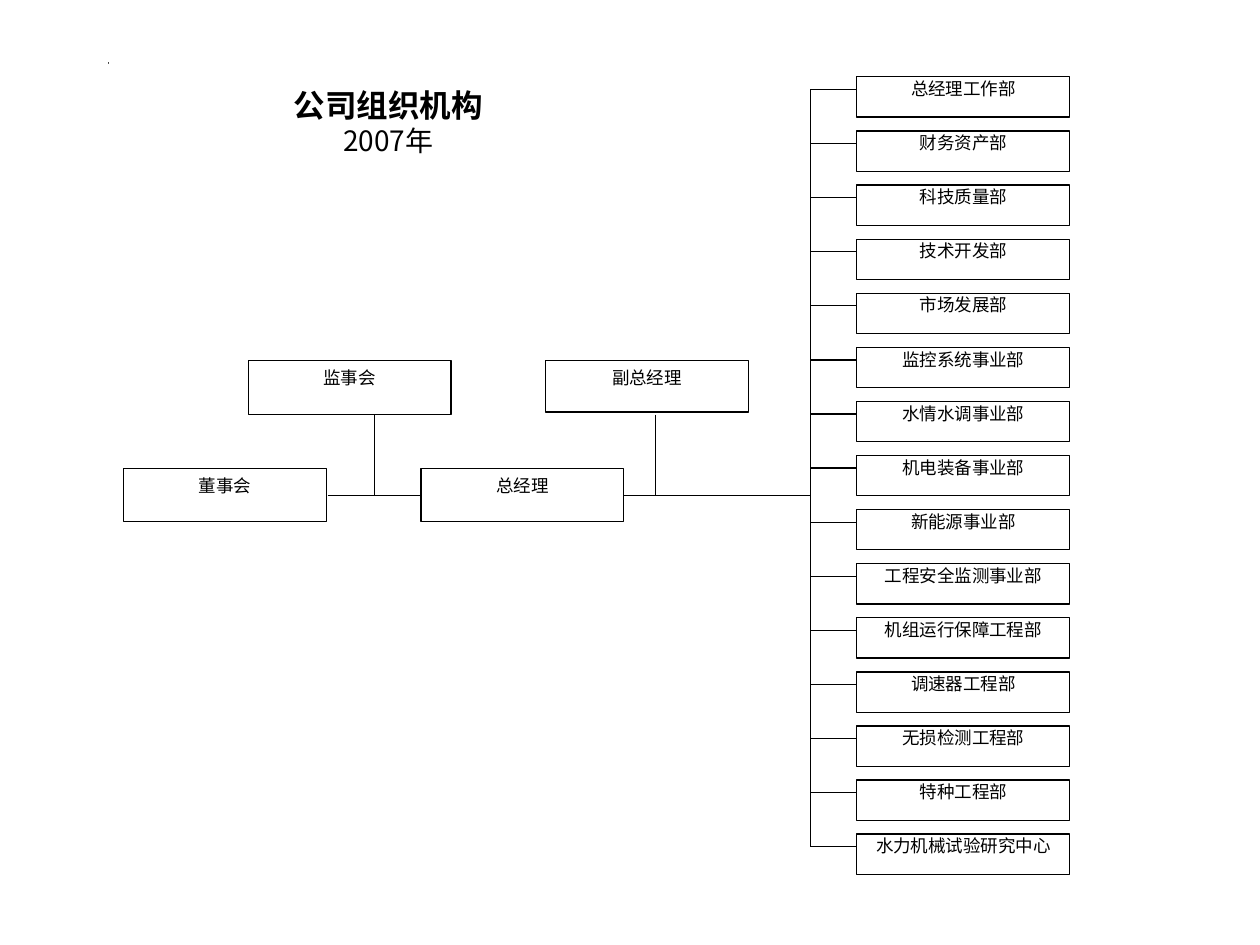
from lxml import etree
from pptx import Presentation
from pptx.dml.color import RGBColor
from pptx.enum.shapes import MSO_CONNECTOR, MSO_SHAPE
from pptx.enum.text import MSO_ANCHOR, MSO_AUTO_SIZE, PP_ALIGN
from pptx.oxml.ns import qn
from pptx.util import Inches, Pt

RECT, LINE = MSO_SHAPE.RECTANGLE, MSO_CONNECTOR.STRAIGHT
TOP, CENTER, FIXED = MSO_ANCHOR.TOP, PP_ALIGN.CENTER, MSO_AUTO_SIZE.NONE

COLORS = {"ink": "000000", "paper": "FFFFFF", "dot": "4F81BD"}
FONT = "Noto Sans CJK SC"
STAFF_PAD = (0.1, 0.05, 0.1, 0.05)
UNIT_PAD = (0.1, 0.01, 0.1, 0.01)

STAFF = [  # name, left, top, height, padding
    ("监事会", 1.97, 2.86, 0.43, (0.02, 0.05, 0.02, 0.01)),
    ("副总经理", 4.33, 2.86, 0.41, STAFF_PAD),
    ("总经理", 3.34, 3.72, 0.42, STAFF_PAD),
    ("董事会", 0.98, 3.72, 0.42, STAFF_PAD),
]
UNITS = [
    "总经理工作部", "财务资产部", "科技质量部", "技术开发部", "市场发展部",
    "监控系统事业部", "水情水调事业部", "机电装备事业部", "新能源事业部",
    "工程安全监测事业部", "机组运行保障工程部", "调速器工程部",
    "无损检测工程部", "特种工程部", "水力机械试验研究中心",
]


def color(name):
    return RGBColor.from_string(COLORS[name])


def add_line(slide, x1, y1, x2, y2):
    line = slide.shapes.add_connector(LINE, *map(Inches, (x1, y1, x2, y2)))
    line.line.color.rgb = color("ink")
    line.line.width = Pt(0.75)
    etree.SubElement(line._element.spPr, qn("a:effectLst"))


def paint(shape, fill, edge):
    shape.fill.solid()
    shape.fill.fore_color.rgb = color(fill)
    shape.line.color.rgb = color(edge)
    shape.line.width = Pt(0.75)


def write(shape, rows, pad):
    """Fill a shape with centred rows of (text, size, bold)."""
    frame = shape.text_frame
    left, top, right, bottom = map(Inches, pad)
    form = {"margin_left": left, "margin_top": top, "margin_right": right,
            "margin_bottom": bottom, "word_wrap": True,
            "vertical_anchor": TOP, "auto_size": FIXED}
    for key, value in form.items():
        setattr(frame, key, value)
    for i, (text, size, bold) in enumerate(rows):
        para = frame.add_paragraph() if i else frame.paragraphs[0]
        para.alignment = CENTER
        run = para.add_run()
        run.text = text
        for key, value in {"size": Pt(size), "bold": bold, "name": FONT}.items():
            setattr(run.font, key, value)
        run.font.color.rgb = color("ink")
        etree.SubElement(run._r.get_or_add_rPr(), qn("a:ea"), typeface=FONT)


def add_box(slide, box, text, pad):
    shape = slide.shapes.add_shape(RECT, *map(Inches, box))
    shape.shadow.inherit = False
    paint(shape, "paper", "ink")
    write(shape, [(text, 10, False)], pad)


def add_title(slide, box):
    title = slide.shapes.title
    title.left, title.top, title.width, title.height = map(Inches, box)
    paint(title, "paper", "paper")
    write(title, [("公司组织机构", 18, True), ("2007年", 16, False)], STAFF_PAD)


def add_staff(slide, trunk):
    """Board and managers, joined by a level line that ends at the trunk."""
    level = 3.93
    add_line(slide, 2.6, level, 3.34, level)
    add_line(slide, 4.95, level, trunk, level)
    for x in (2.97, 5.2):
        add_line(slide, x, 3.29, x, level)
    for name, left, top, height, pad in STAFF:
        add_box(slide, (left, top, 1.61, height), name, pad)


def add_units(slide, box, trunk):
    """Column of departments, each branching off the trunk."""
    left, top, width, height = box
    tall, drop = 0.32, 0.1
    step = (height - tall) / (len(UNITS) - 1)
    first = top + drop
    add_line(slide, trunk, first, trunk, first + height - tall)
    for i, name in enumerate(UNITS):
        y = top + i * step
        add_line(slide, trunk, y + drop, left, y + drop)
        add_box(slide, (left, y, width, tall), name, UNIT_PAD)


def add_dot(slide, x, y):
    dot = slide.shapes.add_shape(RECT, Inches(x), Inches(y), 0, 0)
    dot.shadow.inherit = False
    paint(dot, "dot", "ink")


def main():
    deck = Presentation()
    deck.slide_width, deck.slide_height = Inches(10), Inches(7.5)
    slide = deck.slides.add_slide(deck.slide_layouts[5])
    trunk = 6.43
    add_title(slide, (1.48, 0.63, 3.2, 0.67))
    add_staff(slide, trunk)
    add_units(slide, (6.8, 0.61, 1.69, 6.33), trunk)
    add_dot(slide, 0.86, 0.5)
    deck.save("out.pptx")


if __name__ == "__main__":
    main()
